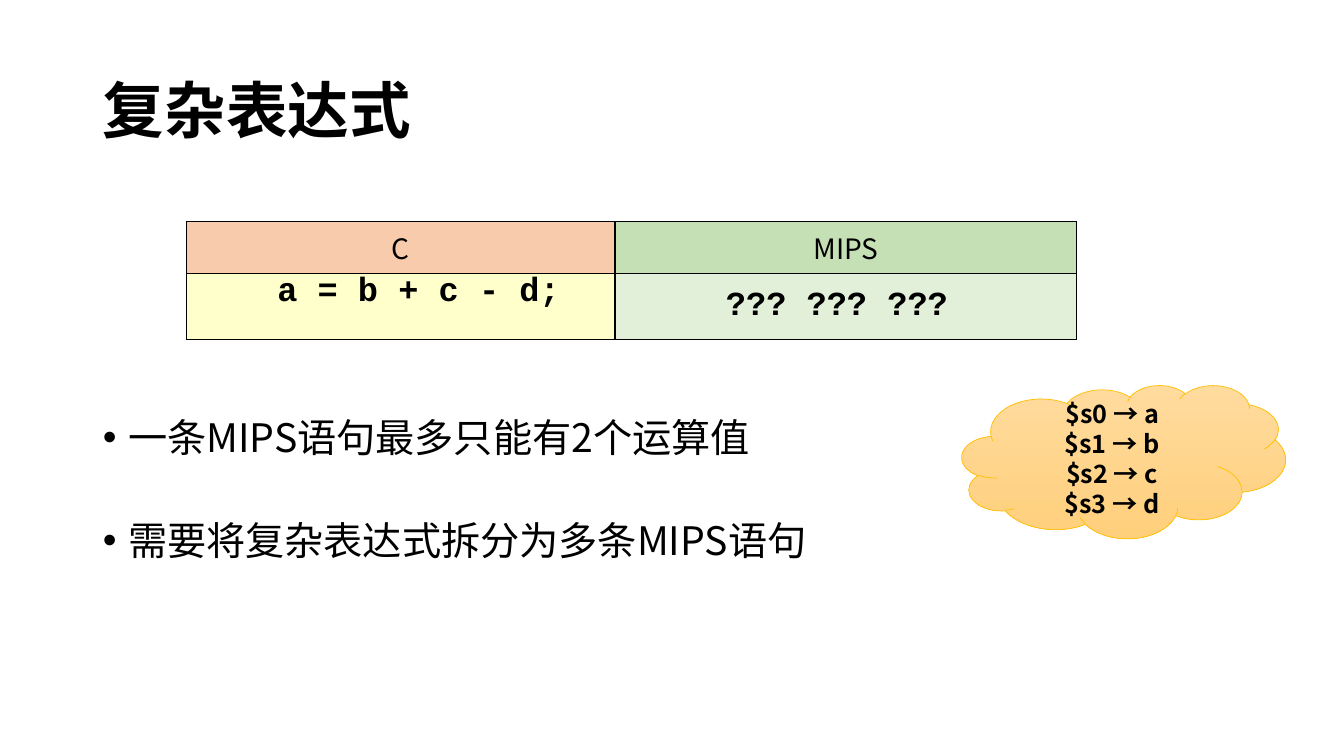
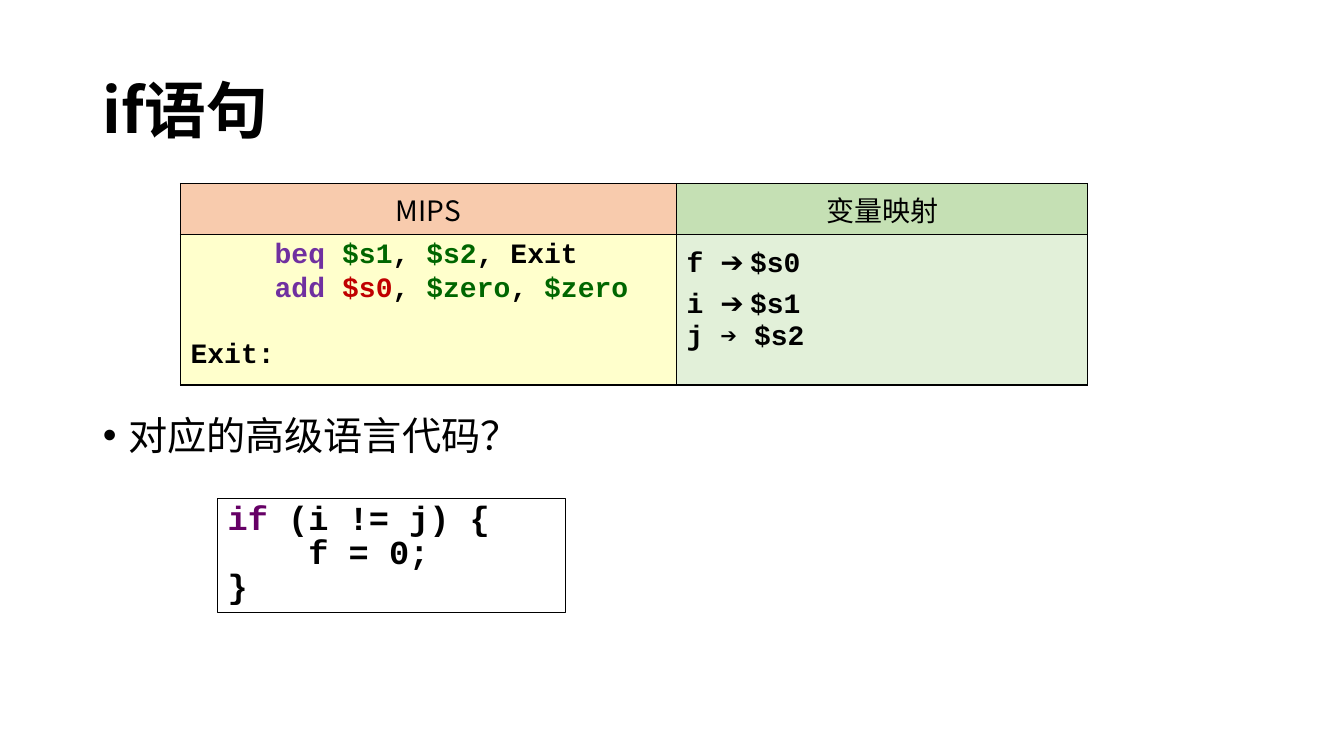
from lxml.etree import SubElement
from pptx import Presentation
from pptx.dml.color import RGBColor
from pptx.enum.shapes import MSO_SHAPE
from pptx.enum.text import MSO_ANCHOR, MSO_AUTO_SIZE, PP_ALIGN
from pptx.oxml.ns import qn
from pptx.util import Inches, Pt

SANS = "Noto Sans CJK SC"
MONO = "Courier New"
COLORS = {
    "text": "000000",
    "keyword": "660066",
    "opcode": "7030A0",
    "source": "006600",
    "target": "C00000",
    "left_header": "F8CBAD",
    "right_header": "C5E0B4",
    "left_cell": "FFFFCC",
    "right_cell": "E2F0D9",
    "cloud_top": "FFDB9E",
    "cloud_bottom": "FFD07C",
    "cloud_line": "FFC000",
}


def rgb(name):
    return RGBColor.from_string(COLORS[name])


class Deck:
    def __init__(self):
        self.presentation = Presentation()
        self.presentation.slide_width = Inches(13.33)
        self.presentation.slide_height = Inches(7.5)
        self.slide = None

    def style_run(self, run, size, font=SANS, bold=False, color="text"):
        run.font.size = Pt(size)
        run.font.name = font
        run.font.bold = bold
        run.font.color.rgb = rgb(color)
        SubElement(run.font._element, qn("a:ea")).set("typeface", font)

    def add_text(self, frame, lines, size, font=SANS, bold=False,
                 align=PP_ALIGN.LEFT, spacing=None, gaps=()):
        """Fill a frame; a line is a string or a list of (text, overrides), gaps are points before later lines."""
        for index, line in enumerate(lines):
            paragraph = frame.paragraphs[0] if index == 0 else frame.add_paragraph()
            paragraph.alignment = align
            paragraph.space_before = Pt(gaps[index - 1] if index and gaps else 0)
            if spacing:
                paragraph.line_spacing = spacing
            parts = [(line, {})] if isinstance(line, str) else line
            for text, overrides in parts:
                run = paragraph.add_run()
                run.text = text
                style = {"font": font, "bold": bold, **overrides}
                self.style_run(run, size, **style)

    def place(self, shape, left, top, width, height):
        shape.left, shape.top = Inches(left), Inches(top)
        shape.width, shape.height = Inches(width), Inches(height)
        shape.text_frame.auto_size = MSO_AUTO_SIZE.NONE

    def add_slide(self, title):
        layout = self.presentation.slide_layouts[1]
        self.slide = self.presentation.slides.add_slide(layout)
        shape = self.slide.shapes.title
        self.place(shape, 0.92, 0.4, 11.5, 1.45)
        shape.text_frame.vertical_anchor = MSO_ANCHOR.MIDDLE
        self.add_text(shape.text_frame, [title], 44, bold=True, spacing=0.9)

    def add_bullets(self, lines, top, height, gaps=()):
        body = self.slide.placeholders[1]
        self.place(body, 0.92, top, 11.5, height)
        frame = body.text_frame
        frame.vertical_anchor = MSO_ANCHOR.TOP
        self.add_text(frame, lines, 28, spacing=0.9, gaps=gaps)
        for paragraph in frame.paragraphs:
            properties = paragraph._p.get_or_add_pPr()
            properties.set("marL", str(Inches(0.25)))
            properties.set("indent", str(Inches(-0.25)))
            SubElement(properties, qn("a:buFont")).set("typeface", "Arial")
            SubElement(properties, qn("a:buChar")).set("char", "•")

    def add_borders(self, cell):
        properties = cell._tc.get_or_add_tcPr()
        for side in ("lnL", "lnR", "lnT", "lnB"):
            line = SubElement(properties, qn(f"a:{side}"), w=str(Pt(1)))
            fill = SubElement(line, qn("a:solidFill"))
            SubElement(fill, qn("a:srgbClr"), val=COLORS["text"])

    def add_code_table(self, headers, left, top, widths, code_height):
        """Add a two-column table with its headers and return the two code cells."""
        header_height = 0.51
        table = self.slide.shapes.add_table(
            2, 2, Inches(left), Inches(top), Inches(sum(widths)),
            Inches(header_height + code_height)).table
        table.first_row = table.horz_banding = False
        table.rows[0].height = Inches(header_height)
        table.rows[1].height = Inches(code_height)
        for index, side in enumerate(("left", "right")):
            table.columns[index].width = Inches(widths[index])
            for row, part in enumerate(("header", "cell")):
                cell = table.cell(row, index)
                self.add_borders(cell)
                cell.fill.solid()
                cell.fill.fore_color.rgb = rgb(f"{side}_{part}")
            self.add_text(table.cell(0, index).text_frame, [headers[index]], 20,
                          align=PP_ALIGN.CENTER)
        return table.cell(1, 0), table.cell(1, 1)

    def add_shape(self, kind, left, top, width, height, line, line_width):
        shape = self.slide.shapes.add_shape(
            kind, Inches(left), Inches(top), Inches(width), Inches(height))
        shape.shadow.inherit = False
        shape.line.color.rgb = rgb(line)
        shape.line.width = Pt(line_width)
        return shape

    def add_cloud(self, lines, left, top, width, height):
        cloud = self.add_shape(MSO_SHAPE.CLOUD, left, top, width, height,
                               "cloud_line", 0.5)
        cloud.fill.gradient()
        cloud.fill.gradient_angle = 270
        for stop, name in zip(cloud.fill.gradient_stops, ("cloud_top", "cloud_bottom")):
            stop.color.rgb = rgb(name)
        cloud.text_frame.vertical_anchor = MSO_ANCHOR.MIDDLE
        self.add_text(cloud.text_frame, lines, 18, bold=True,
                      align=PP_ALIGN.CENTER, spacing=Pt(21.5))

    def add_code_box(self, lines, left, top, width, height):
        box = self.add_shape(MSO_SHAPE.RECTANGLE, left, top, width, height, "text", 0.75)
        box.fill.background()
        box.text_frame.vertical_anchor = MSO_ANCHOR.TOP
        self.add_text(box.text_frame, lines, 24, MONO, True, spacing=Pt(24))


def build_expression_slide(deck):
    deck.add_slide("复杂表达式")
    deck.add_cloud([f"$s{index} → {name}" for index, name in enumerate("abcd")],
                   9.54, 3.82, 3.21, 1.52)
    c_cell, mips_cell = deck.add_code_table(("C", "MIPS"), 1.85, 2.2, (4.25, 4.58), 0.66)
    deck.add_text(c_cell.text_frame, ["    a = b + c - d;"], 24, MONO, True, spacing=Pt(24))
    mips_cell.vertical_anchor = MSO_ANCHOR.MIDDLE
    mips_cell.margin_left = Inches(1.1)
    deck.add_text(mips_cell.text_frame, ["??? ??? ???"], 24, MONO, True)
    deck.add_bullets(["一条MIPS语句最多只能有2个运算值",
                      "需要将复杂表达式拆分为多条MIPS语句"], 4.1, 2.05, gaps=[43.5])


def build_if_slide(deck):
    opcode, source, target = ({"color": name} for name in ("opcode", "source", "target"))
    arrow = ("➔ ", {"font": SANS, "bold": False})
    deck.add_slide("if语句")
    mips_cell, mapping_cell = deck.add_code_table(
        ("MIPS", "变量映射"), 1.79, 1.82, (4.92, 4.08), 1.49)
    deck.add_text(mips_cell.text_frame, [
        [("     beq ", opcode), ("$s1", source), (", ", {}), ("$s2", source), (", Exit", {})],
        [("     add ", opcode), ("$s0", target), (", ", {}), ("$zero", source),
         (", ", {}), ("$zero", source)],
        "Exit:",
    ], 20, MONO, True, gaps=[2, 24.5])
    deck.add_text(mapping_cell.text_frame, [
        [("f ", {}), arrow, ("$s0", {})],
        [("i ", {}), arrow, ("$s1", {})],
        "j ➔ $s2",
    ], 20, MONO, True)
    deck.add_bullets(["对应的高级语言代码？"], 4.08, 0.76)
    deck.add_code_box([
        [("if ", {"color": "keyword"}), ("(i != j) {", {})],
        "    f = 0;",
        "}",
    ], 2.16, 4.95, 3.45, 1.13)


def main():
    deck = Deck()
    build_expression_slide(deck)
    build_if_slide(deck)
    deck.presentation.save("out.pptx")


if __name__ == "__main__":
    main()
